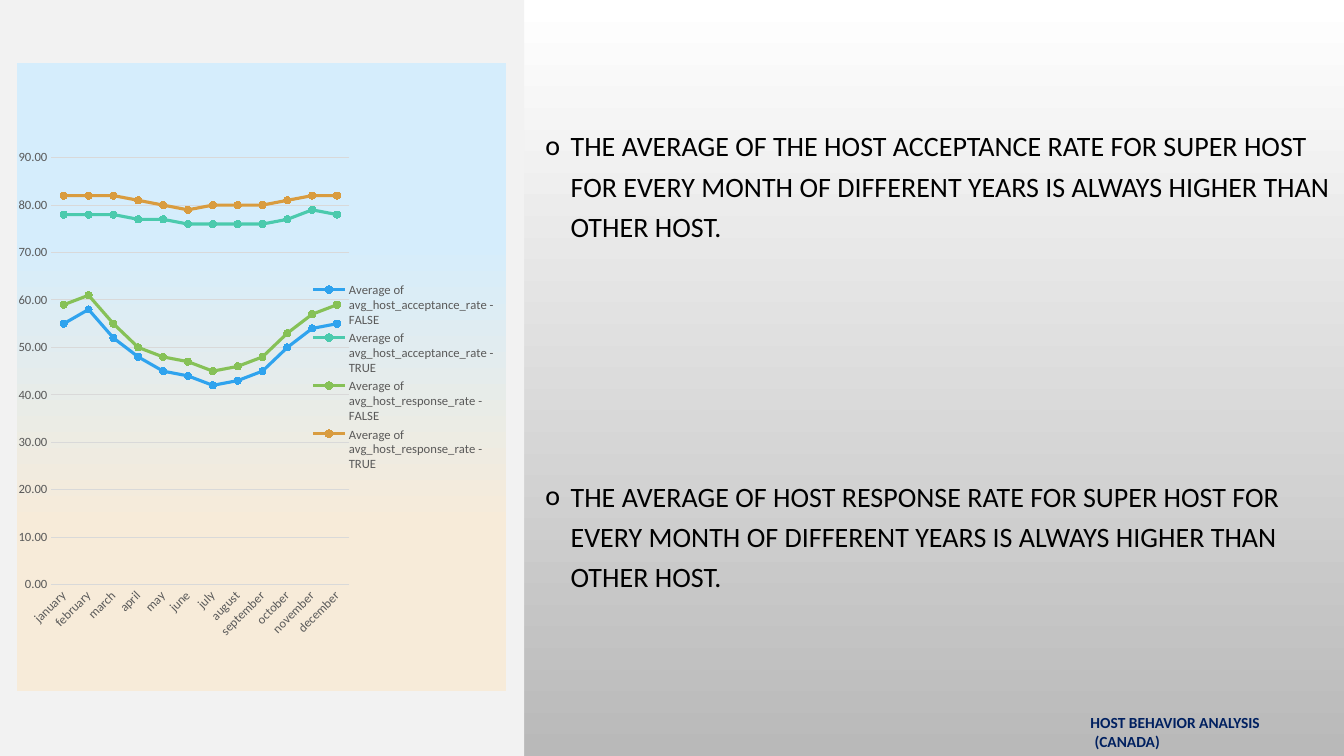
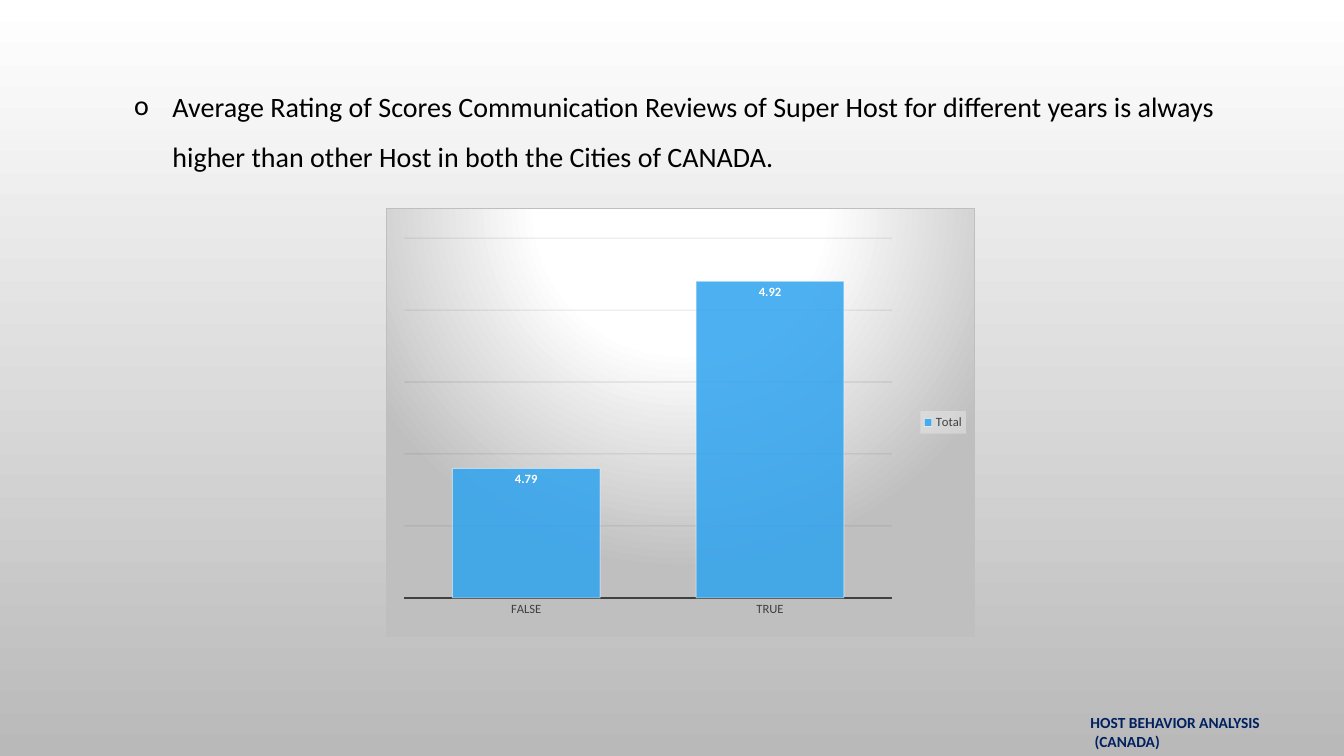
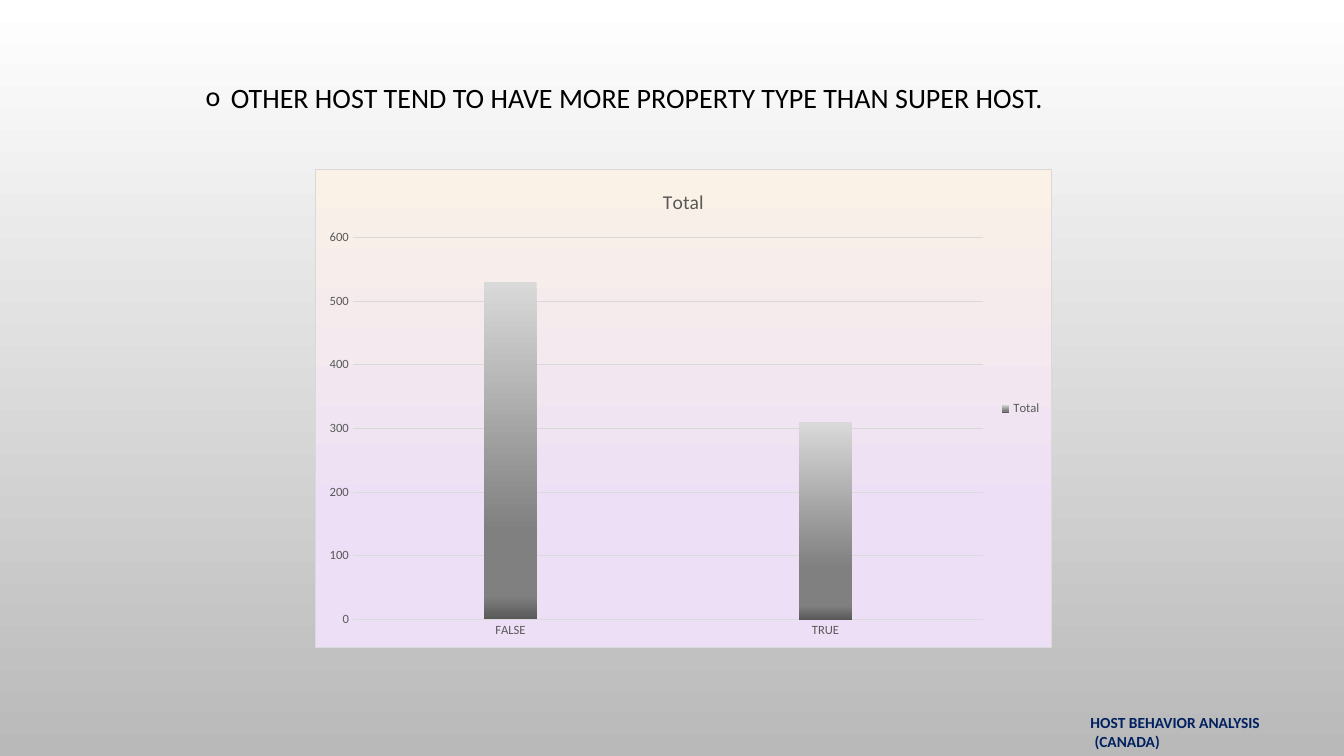
from pptx import Presentation
from pptx.chart.data import CategoryChartData
from pptx.dml.color import RGBColor
from pptx.enum.chart import (XL_CHART_TYPE, XL_LABEL_POSITION, XL_LEGEND_POSITION,
                             XL_MARKER_STYLE, XL_TICK_MARK)
from pptx.enum.shapes import MSO_SHAPE
from pptx.enum.text import MSO_ANCHOR, MSO_AUTO_SIZE
from pptx.oxml import parse_xml
from pptx.oxml.ns import nsdecls, qn
from pptx.util import Inches, Pt

FONT = "Calibri"
BLACK = RGBColor(0x00, 0x00, 0x00)
WHITE = RGBColor(0xFF, 0xFF, 0xFF)
NAVY = RGBColor(0x00, 0x20, 0x60)
PANEL = RGBColor(0xF2, 0xF2, 0xF2)
BG_END = RGBColor(0xB9, 0xB9, 0xB9)
SILVER = RGBColor(0xBF, 0xBF, 0xBF)
RULE = RGBColor(0xD9, 0xD9, 0xD9)
MID = RGBColor(0x80, 0x80, 0x80)
GRAY = RGBColor(0x59, 0x59, 0x59)
DARK = RGBColor(0x40, 0x40, 0x40)
INK = RGBColor(0x0D, 0x0D, 0x0D)
BLUE = RGBColor(0x2F, 0xA3, 0xEE)
TEAL = RGBColor(0x4B, 0xCA, 0xAD)
GREEN = RGBColor(0x86, 0xC1, 0x57)
ORANGE = RGBColor(0xD9, 0x9C, 0x3F)
SKY = RGBColor(0xD5, 0xED, 0xFC)
SKY_DEEP = RGBColor(0xC1, 0xE3, 0xFA)
SAND = RGBColor(0xF7, 0xEB, 0xD9)
CREAM = RGBColor(0xFA, 0xF2, 0xE6)
LILAC = RGBColor(0xED, 0xDF, 0xF6)

W, H = Inches(13.33), Inches(7.5)
DOWN = '<a:lin ang="5400000" scaled="0"/>'
GLOW = ('<a:path path="circle"><a:fillToRect l="50000" t="-80000" '
        'r="50000" b="180000"/></a:path>')
MONTHS = ["january", "february", "march", "april", "may", "june", "july", "august",
          "september", "october", "november", "december"]
HOST_GROUPS = ["FALSE", "TRUE"]
FOOTER_BOX = (80.4, 93.73, 19.6, 6.27)


def place(box):
    """Turn percentages of the slide into left, top, width, height."""
    x, y, w, h = box
    return int(W * x / 100), int(H * y / 100), int(W * w / 100), int(H * h / 100)


def style(font, size, color, bold=False):
    font.name, font.size, font.bold = FONT, Pt(size), bold
    font.color.rgb = color


# Fills written as XML
def color_xml(color, alpha=100):
    return f'<a:srgbClr val="{color}"><a:alpha val="{alpha * 1000}"/></a:srgbClr>'


def solid_xml(color, alpha=100):
    return f"<a:solidFill>{color_xml(color, alpha)}</a:solidFill>"


def gradient_xml(stops, direction=DOWN):
    marks = "".join(f'<a:gs pos="{pos * 1000}">{color_xml(c)}</a:gs>' for pos, c in stops)
    return f'<a:gradFill rotWithShape="1"><a:gsLst>{marks}</a:gsLst>{direction}</a:gradFill>'


def sppr(fill, border=None):
    line = (f'<a:ln w="{Pt(0.75)}">{solid_xml(border)}</a:ln>' if border is not None
            else "<a:ln><a:noFill/></a:ln>")
    return parse_xml(f'<c:spPr {nsdecls("c", "a")}>{fill}{line}</c:spPr>')


def swap_fill(chart, owner, fill):
    """Replace the solid fills found under owner."""
    for old in chart.element.xpath(f".//{owner}/a:solidFill"):
        new = parse_xml(fill.replace(">", f' {nsdecls("a")}>', 1) if " " not in fill.split(">")[0]
                        else fill.replace(" ", f' {nsdecls("a")} ', 1))
        old.getparent().replace(old, new)


# Parts shared by the slides
def set_background(prs):
    fill = prs.slide_master.background.fill
    fill.gradient()
    fill.gradient_angle = 270
    for stop, color in zip(fill.gradient_stops, (WHITE, BG_END)):
        stop.color.rgb = color


def new_slide(prs):
    s = prs.slides.add_slide(prs.slide_layouts[1])
    title = s.shapes.title.element
    title.getparent().remove(title)
    return s


def add_footer(s, box=FOOTER_BOX):
    tf = s.shapes.add_textbox(*place(box)).text_frame
    tf.word_wrap = True
    tf.auto_size = MSO_AUTO_SIZE.SHAPE_TO_FIT_TEXT
    tf.text = "HOST BEHAVIOR ANALYSIS\n(CANADA)"
    for p in tf.paragraphs:
        style(p.runs[0].font, 11, NAVY, True)
    tf.paragraphs[1]._p.get_or_add_pPr().set("marL", str(Inches(0.04)))


def add_findings(s, box, findings, spacing=1.2, indent=0.25, top=0.05, gap=0):
    """Fill the body placeholder with round-bulleted findings."""
    body = s.placeholders[1]
    body.left, body.top, body.width, body.height = place(box)
    tf = body.text_frame
    tf.auto_size = MSO_AUTO_SIZE.NONE
    tf.vertical_anchor = MSO_ANCHOR.TOP
    tf.margin_top = Inches(top)
    tf.text = "\n".join(findings)
    for i, p in enumerate(tf.paragraphs):
        ppr = p._p.get_or_add_pPr()
        ppr.set("marL", str(Inches(indent)))
        ppr.set("indent", str(-Inches(indent)))
        for bullet in (f'<a:buClr {nsdecls("a")}><a:srgbClr val="{BLACK}"/></a:buClr>',
                       f'<a:buFont {nsdecls("a")} typeface="{FONT}"/>',
                       f'<a:buChar {nsdecls("a")} char="o"/>'):
            ppr.append(parse_xml(bullet))
        p.line_spacing = spacing
        p.space_before = Pt(gap if i else 0)
        style(p.runs[0].font, 20, BLACK)


# Chart building
def add_chart(s, box, kind, cats, series, fill, border=None, plot_box=None,
              text=GRAY, axis_line=(RULE, 0.75), grid=RULE, scale=(0, 100, 10),
              number_format="General"):
    data = CategoryChartData(number_format=number_format)
    data.categories = cats
    for name, vals in series:
        data.add_series(name, vals)
    chart = s.shapes.add_chart(kind, *place(box), data).chart
    style(chart.font, 10, BLACK)
    chart.has_title = False
    chart.plots[0].vary_by_categories = False
    chart.element.find(qn("c:chart")).addnext(sppr(fill, border))

    # Axes
    cat, val = chart.category_axis, chart.value_axis
    for axis in (cat, val):
        axis.major_tick_mark = axis.minor_tick_mark = XL_TICK_MARK.NONE
        style(axis.tick_labels.font, 9, text)
    cat.format.line.color.rgb, cat.format.line.width = axis_line[0], Pt(axis_line[1])
    val.format.line.fill.background()
    val.has_major_gridlines = True
    val.major_gridlines.format.line.color.rgb = grid
    val.major_gridlines.format.line.width = Pt(0.75)
    val.minimum_scale, val.maximum_scale, val.major_unit = scale
    val.tick_labels.number_format = number_format
    val.tick_labels.number_format_is_linked = False

    # Legend
    chart.has_legend = True
    chart.legend.position = XL_LEGEND_POSITION.RIGHT
    chart.legend.include_in_layout = False
    style(chart.legend.font, 9, text)

    if plot_box:
        set_plot_box(chart, plot_box)
    return chart


def set_plot_box(chart, plot_box):
    area = chart.element.xpath(".//c:plotArea")[0]
    for old in area.findall(qn("c:layout")):
        area.remove(old)
    sizes = "".join(f'<c:{k} val="{v}"/>' for k, v in zip("xywh", plot_box))
    area.insert(0, parse_xml(
        f'<c:layout {nsdecls("c")}><c:manualLayout><c:layoutTarget val="inner"/>'
        f'<c:xMode val="edge"/><c:yMode val="edge"/>{sizes}</c:manualLayout></c:layout>'))


def add_rate_chart(s, box):
    series = [
        ("Average of avg_host_acceptance_rate - FALSE",
         (55, 58, 52, 48, 45, 44, 42, 43, 45, 50, 54, 55)),
        ("Average of avg_host_acceptance_rate - TRUE",
         (78, 78, 78, 77, 77, 76, 76, 76, 76, 77, 79, 78)),
        ("Average of avg_host_response_rate - FALSE",
         (59, 61, 55, 50, 48, 47, 45, 46, 48, 53, 57, 59)),
        ("Average of avg_host_response_rate - TRUE",
         (82, 82, 82, 81, 80, 79, 80, 80, 80, 81, 82, 82)),
    ]
    fill = gradient_xml([(28, SKY), (74, SAND), (100, SAND), (100, SKY_DEEP)])
    chart = add_chart(s, box, XL_CHART_TYPE.LINE_MARKERS, MONTHS, series, fill,
                      plot_box=(0.07, 0.15, 0.61, 0.68), scale=(0, 90, 10),
                      number_format="0.00")
    chart.element.xpath(".//c:catAx/c:txPr/a:bodyPr")[0].set("rot", "-2700000")
    for line, color in zip(chart.plots[0].series, (BLUE, TEAL, GREEN, ORANGE)):
        line.smooth = False
        line.format.line.color.rgb, line.format.line.width = color, Pt(2.25)
        line.marker.style, line.marker.size = XL_MARKER_STYLE.CIRCLE, 5
        line.marker.format.fill.solid()
        line.marker.format.fill.fore_color.rgb = color
        line.marker.format.line.color.rgb = color


def add_rating_chart(s, box):
    fill = gradient_xml([(0, WHITE), (39, WHITE), (100, SILVER)], GLOW)
    chart = add_chart(s, box, XL_CHART_TYPE.COLUMN_CLUSTERED, HOST_GROUPS,
                      [("Total", (4.79, 4.92))], fill, SILVER,
                      plot_box=(0.03, 0.07, 0.83, 0.84), text=DARK,
                      axis_line=(DARK, 1.5), grid=INK, scale=(4.7, 4.95, 0.05),
                      number_format="0.00")
    chart.value_axis.visible = False
    plot = chart.plots[0]
    plot.gap_width = 65
    bars = plot.series[0].format
    bars.fill.solid()
    bars.line.color.rgb, bars.line.width = WHITE, Pt(0.75)

    # Value labels
    plot.has_data_labels = True
    labels = plot.data_labels
    labels.show_value = True
    labels.position = XL_LABEL_POSITION.INSIDE_END
    labels.number_format, labels.number_format_is_linked = "0.00", False
    style(labels.font, 9, WHITE, True)

    # Transparency
    swap_fill(chart, "c:ser/c:spPr", solid_xml(BLUE, 85))
    swap_fill(chart, "c:ser/c:spPr/a:ln", solid_xml(WHITE, 50))
    swap_fill(chart, "c:majorGridlines/c:spPr/a:ln", solid_xml(INK, 10))
    legend_text = chart.element.xpath(".//c:legend/c:txPr")[0]
    legend_text.addprevious(sppr(solid_xml(PANEL, 40)))


def add_property_chart(s, box):
    fill = gradient_xml([(0, CREAM), (74, LILAC), (83, LILAC), (100, LILAC)])
    chart = add_chart(s, box, XL_CHART_TYPE.COLUMN_CLUSTERED, HOST_GROUPS,
                      [("Total", (530, 310))], fill, RULE, scale=(0, 600, 100))
    chart.has_title = True
    tf = chart.chart_title.text_frame
    tf.text = "Total"
    style(tf.paragraphs[0].runs[0].font, 14, GRAY)
    chart.chart_title.include_in_layout = False
    plot = chart.plots[0]
    plot.gap_width, plot.overlap = 500, -23
    plot.series[0].format.fill.solid()
    swap_fill(chart, "c:ser/c:spPr", gradient_xml(
        [(0, RULE), (74, MID), (83, MID), (93, MID), (100, GRAY)]))


# Slides
def rate_slide(prs):
    s = new_slide(prs)
    add_findings(s, (39.83, 1.87, 60.17, 96.53), [
        "THE AVERAGE OF THE HOST ACCEPTANCE RATE FOR SUPER HOST FOR EVERY MONTH OF "
        "DIFFERENT YEARS IS ALWAYS HIGHER THAN OTHER HOST.",
        "THE AVERAGE OF HOST RESPONSE RATE FOR SUPER HOST FOR EVERY MONTH OF "
        "DIFFERENT YEARS IS ALWAYS HIGHER THAN OTHER HOST."], top=1.07, gap=164)
    add_footer(s)
    panel = s.shapes.add_shape(MSO_SHAPE.RECTANGLE, *place((0, 0, 39, 100)))
    panel.shadow.inherit = False
    panel.fill.solid()
    panel.fill.fore_color.rgb = PANEL
    panel.line.fill.background()
    add_rate_chart(s, (1.27, 8.4, 36.38, 83.07))


def rating_slide(prs):
    s = new_slide(prs)
    add_footer(s)
    add_findings(s, (9.23, 8.93, 82.8, 14.13), [
        "Average Rating of Scores Communication Reviews of Super Host for different "
        "years is always higher than other Host in both the Cities of CANADA."],
        spacing=1.5, indent=0.38)
    add_rating_chart(s, (28.73, 27.47, 43.8, 56.8))


def property_slide(prs):
    s = new_slide(prs)
    add_findings(s, (14.55, 9.07, 74.48, 23.2),
                 ["OTHER HOST TEND TO HAVE MORE PROPERTY TYPE THAN SUPER HOST."])
    add_footer(s)
    add_property_chart(s, (23.4, 22.4, 54.9, 63.33))


def main():
    prs = Presentation()
    prs.slide_width, prs.slide_height = W, H
    set_background(prs)
    for build in (rate_slide, rating_slide, property_slide):
        build(prs)
    prs.save("out.pptx")


if __name__ == "__main__":
    main()
